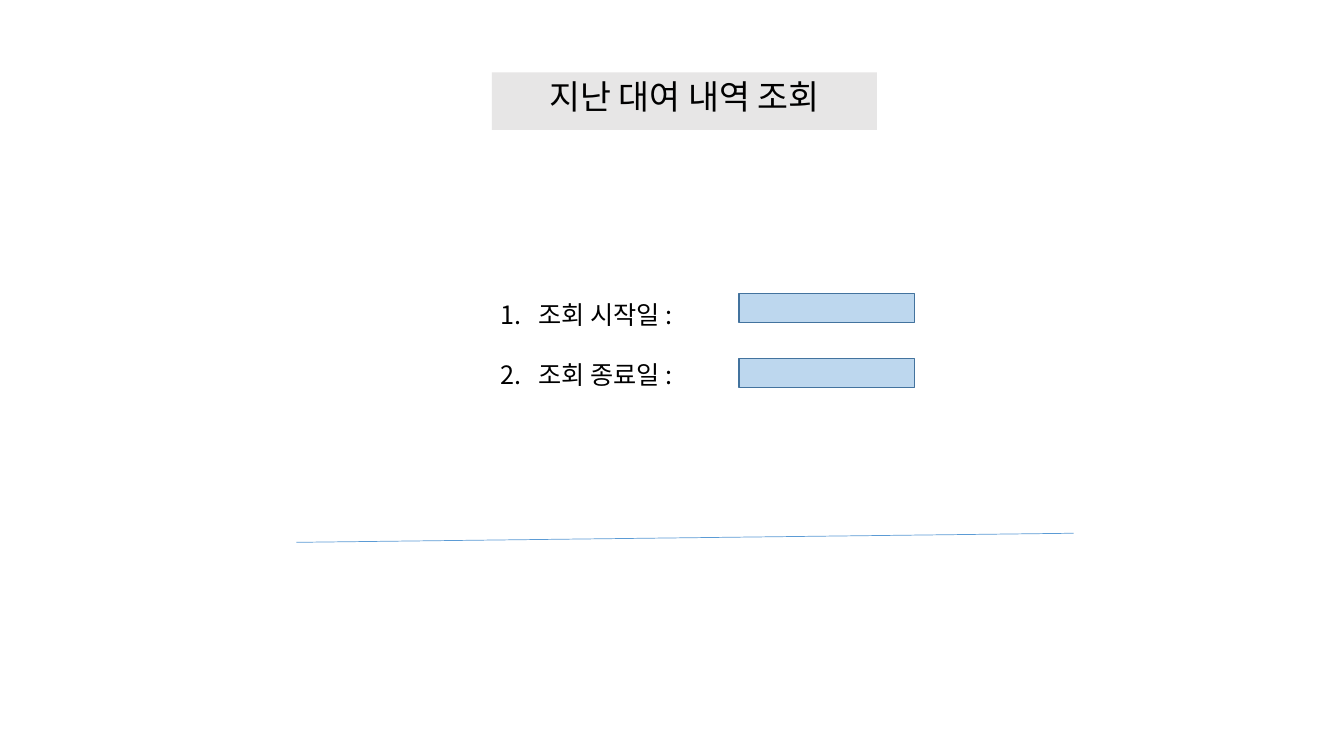
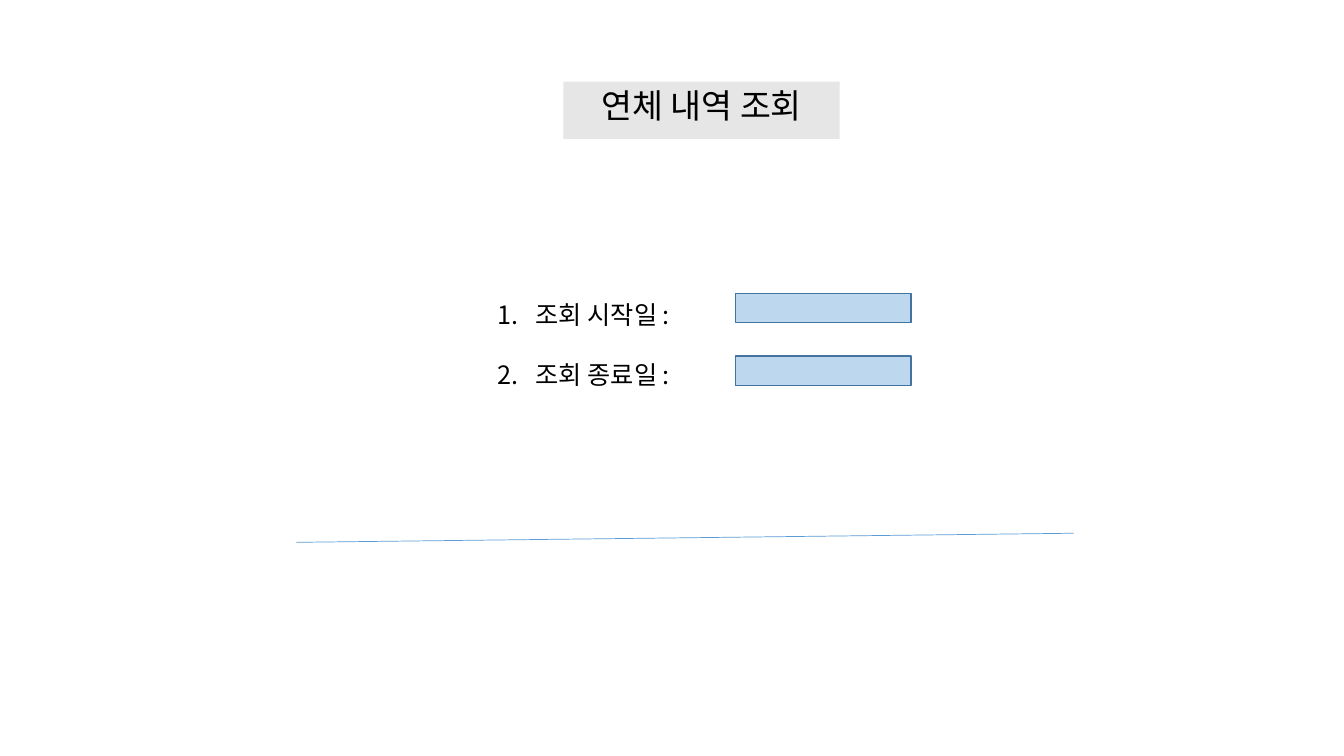
"""Builds two rental lookup screens with a title, two date fields and a divider."""
from pptx import Presentation
from pptx.dml.color import RGBColor as RGB
from pptx.enum.shapes import MSO_CONNECTOR as CONN, MSO_SHAPE as SHAPE
from pptx.enum.text import MSO_ANCHOR as ANCHOR, PP_ALIGN as ALIGN
from pptx.oxml.ns import qn
from pptx.util import Pt
from lxml.etree import SubElement

COLORS = {"band": "E7E6E6", "field": "BDD7EE", "edge": "43739E",
          "divider": "5B9BD5", "text": "000000"}
FONT = "Noto Sans CJK KR"
LABELS = ["조회 시작일 : ", "조회 종료일 : "]
SCREENS = [
    {"title": "지난 대여 내역 조회", "band": (351.4, 51.8, 275, 41),
     "labels": 350.6, "fields": 527.8, "pitch": 46.4},
    {"title": "연체 내역 조회", "band": (402.5, 58.3, 197.3, 41),
     "labels": 348.5, "fields": 525.6, "pitch": 44.8},
]
FORM_TOP = 209.5


def color(name):
    return RGB.from_string(COLORS[name])


def write(p, text, size, spacing, align=ALIGN.LEFT, before=0, number_indent=0):
    p.alignment = align
    p.line_spacing = Pt(spacing)
    p.space_before = Pt(before)
    if number_indent:
        pPr = p._p.get_or_add_pPr()
        pPr.set("marL", str(Pt(number_indent)))
        pPr.set("indent", str(-Pt(number_indent)))
        SubElement(pPr, qn("a:buFont"), typeface=FONT)
        SubElement(pPr, qn("a:buAutoNum"), type="arabicPeriod")
    r = p.add_run()
    r.text = text
    r.font.size = Pt(size)
    r.font.name = FONT
    r.font.color.rgb = color("text")
    SubElement(r._r.get_or_add_rPr(), qn("a:ea"), typeface=FONT)


class Deck:
    def __init__(self):
        self.prs = Presentation()
        self.prs.slide_width, self.prs.slide_height = Pt(960), Pt(540)
        self.slide = None

    def new_slide(self):
        self.slide = self.prs.slides.add_slide(self.prs.slide_layouts[6])

    def rect(self, box, fill, edge=None):
        sp = self.slide.shapes.add_shape(SHAPE.RECTANGLE, *map(Pt, box))
        sp.shadow.inherit = False
        sp.fill.solid()
        sp.fill.fore_color.rgb = color(fill)
        if edge:
            sp.line.color.rgb = color(edge)
            sp.line.width = Pt(1)
        else:
            sp.line.fill.background()
        return sp

    def title(self, text, box):
        tf = self.rect(box, "band").text_frame
        tf.word_wrap = True
        tf.vertical_anchor = ANCHOR.TOP
        write(tf.paragraphs[0], text, 24, 27.5, align=ALIGN.CENTER)

    def labels(self, texts, left):
        box = (left, FORM_TOP, 267, 72.7)
        tf = self.slide.shapes.add_textbox(*map(Pt, box)).text_frame
        tf.word_wrap = True
        for i, text in enumerate(texts):
            p = tf.add_paragraph() if i else tf.paragraphs[0]
            write(p, text, 18, 22.5, before=20.4 if i else 0, number_indent=27)

    def fields(self, count, left, pitch):
        for i in range(count):
            self.rect((left, FORM_TOP + i * pitch, 125.3, 20.9), "field", "edge")

    def divider(self):
        ends = (211.7, 387.4, 766.8, 380.9)
        line = self.slide.shapes.add_connector(CONN.STRAIGHT, *map(Pt, ends))
        line.line.color.rgb = color("divider")
        line.line.width = Pt(0.5)
        SubElement(line._element.spPr, qn("a:effectLst"))


deck = Deck()
for screen in SCREENS:
    deck.new_slide()
    deck.title(screen["title"], screen["band"])
    deck.labels(LABELS, screen["labels"])
    deck.divider()
    deck.fields(len(LABELS), screen["fields"], screen["pitch"])
deck.prs.save("out.pptx")
